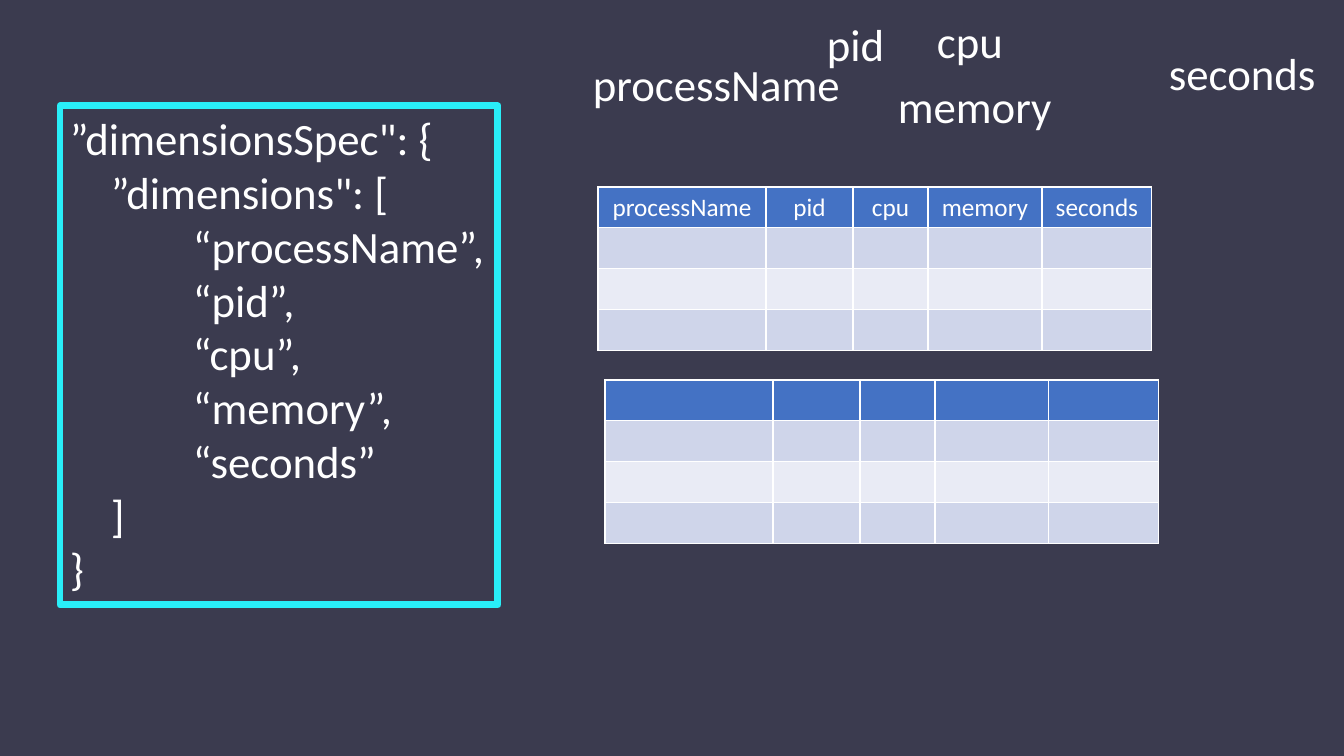
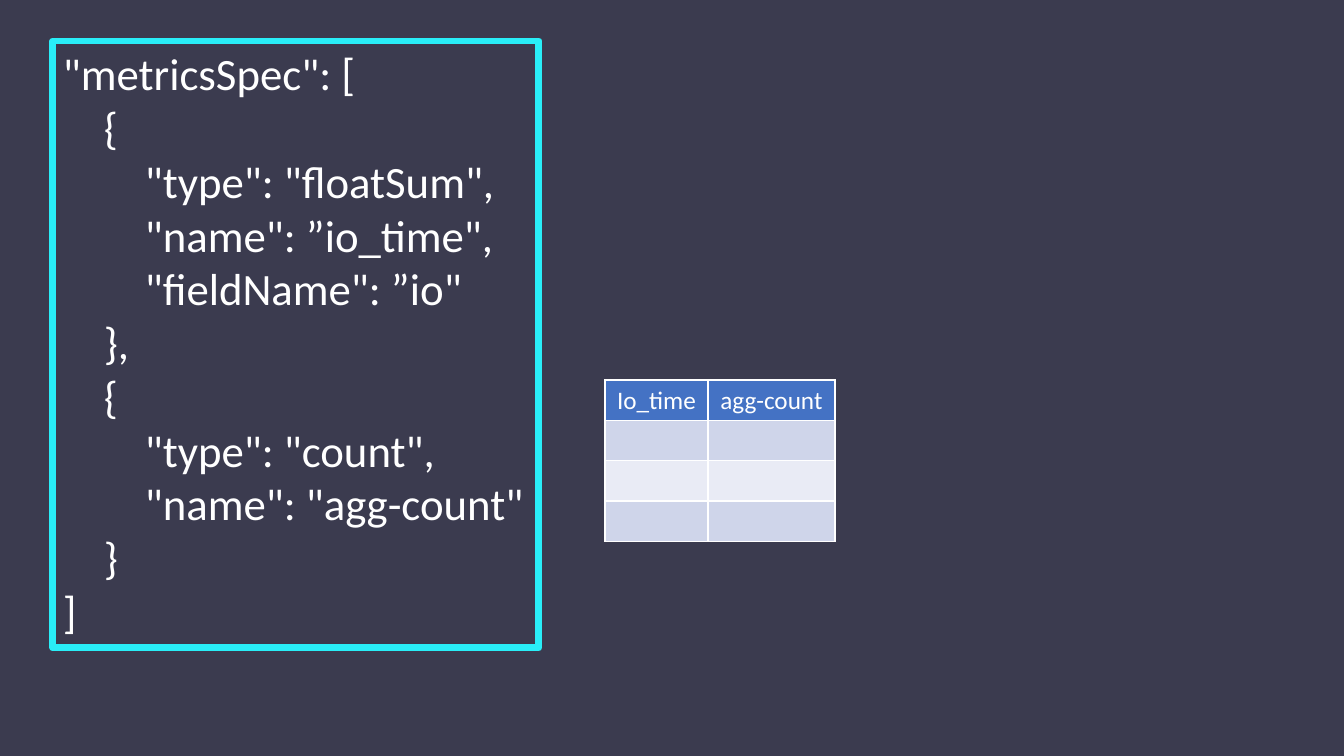
from lxml.etree import SubElement
from pptx import Presentation
from pptx.dml.color import RGBColor
from pptx.enum.shapes import MSO_SHAPE
from pptx.enum.text import MSO_ANCHOR, PP_ALIGN
from pptx.oxml import parse_xml
from pptx.oxml.ns import nsdecls, qn
from pptx.util import Emu, Pt

EMU_PER_PX = 914400 / 100.8
FONT = "Calibri"
NIGHT, CYAN, WHITE = "3B3B4F", "29EEF8", "FFFFFF"
HEADER, BANDS = "4472C4", ("CFD5EA", "E9EBF5")
INDENT = 41
ROW_HEIGHT = 40
BODY_ROWS = 3

FIELDS = ("processName", "pid", "cpu", "memory", "seconds")
FIELD_WIDTHS = (168, 87, 75, 114, 110)
FIELD_BOXES = (
    (583, 52, 269, 64),
    (817, 12, 79, 64),
    (927, 9, 87, 64),
    (888, 74, 175, 64),
    (1159, 41, 168, 64),
)

DIMENSIONS_CODE = (
    (0, "”dimensionsSpec\": {"),
    (1, "”dimensions\": ["),
    (3, "“processName”,"),
    (3, "“pid”,"),
    (3, "“cpu”,"),
    (3, "“memory”,"),
    (3, "“seconds”"),
    (1, "]"),
    (0, "}"),
)
METRICS_CODE = (
    (0, "\"metricsSpec\": ["),
    (1, "{"),
    (2, "\"type\": \"floatSum\","),
    (2, "\"name\": ”io_time\","),
    (2, "\"fieldName\": ”io\""),
    (1, "},"),
    (1, "{"),
    (2, "\"type\": \"count\","),
    (2, "\"name\": \"agg-count\""),
    (1, "}"),
    (0, "]"),
)


def px(length):
    """Turn a length in px into EMU."""
    return Emu(round(length * EMU_PER_PX))


def color(value):
    """Turn a hex string into a colour."""
    return RGBColor.from_string(value)


def write(para, text, size=32, ink=WHITE, align=PP_ALIGN.LEFT, level=0):
    """Write one formatted, indented run into a paragraph."""
    para.alignment = align
    if level:
        para._p.get_or_add_pPr().set("marL", str(px(level * INDENT)))
    span = para.add_run()
    span.text = text
    span.font.name = FONT
    span.font.size = Pt(size)
    span.font.bold = False
    span.font.color.rgb = color(ink)


def add_label(page, box, text):
    """Place a field name in a text box."""
    frame = page.shapes.add_textbox(*map(px, box)).text_frame
    frame.word_wrap = True
    write(frame.paragraphs[0], text)


def add_code(page, box, lines):
    """Place indented code in a cyan frame."""
    panel = page.shapes.add_shape(MSO_SHAPE.RECTANGLE, *map(px, box))
    panel.shadow.inherit = False
    panel.fill.background()
    panel.line.color.rgb = color(CYAN)
    panel.line.width = Pt(5)
    SubElement(panel.line._get_or_add_ln(), qn("a:round"))
    frame = panel.text_frame
    frame.word_wrap = True
    frame.vertical_anchor = MSO_ANCHOR.TOP
    for index, (level, text) in enumerate(lines):
        para = frame.add_paragraph() if index else frame.paragraphs[0]
        write(para, text, level=level)


def style_cell(cell, fill):
    """Fill a cell and give it thin white borders."""
    cell.fill.solid()
    cell.fill.fore_color.rgb = color(fill)
    properties = cell._tc.get_or_add_tcPr()
    for index, side in enumerate(("lnL", "lnR", "lnT", "lnB")):
        border = parse_xml(
            f'<a:{side} {nsdecls("a")} w="{Pt(1)}"><a:solidFill>'
            f'<a:srgbClr val="{WHITE}"/></a:solidFill></a:{side}>'
        )
        properties.insert(index, border)


def add_grid(page, left, top, widths, headings=()):
    """Place a banded table with optional headings."""
    rows = BODY_ROWS + 1
    box = (left, top, sum(widths), rows * ROW_HEIGHT)
    table = page.shapes.add_table(rows, len(widths), *map(px, box)).table
    for column, width in zip(table.columns, widths):
        column.width = px(width)
    for index, row in enumerate(table.rows):
        fill = BANDS[(index - 1) % 2] if index else HEADER
        for cell in row.cells:
            style_cell(cell, fill)
    for cell, text in zip(table.rows[0].cells, headings):
        write(cell.text_frame.paragraphs[0], text, size=18, align=PP_ALIGN.CENTER)


def add_dimensions_slide(deck):
    """Build the slide on dimensions."""
    page = deck.slides.add_slide(deck.slide_layouts[6])
    add_code(page, (60, 106, 438, 499), DIMENSIONS_CODE)
    add_grid(page, 598, 187, FIELD_WIDTHS, FIELDS)
    add_grid(page, 605, 380, FIELD_WIDTHS)
    for box, field in zip(FIELD_BOXES, FIELDS):
        add_label(page, box, field)


def add_metrics_slide(deck):
    """Build the slide on metrics."""
    page = deck.slides.add_slide(deck.slide_layouts[6])
    add_code(page, (53, 41, 486, 607), METRICS_CODE)
    add_grid(page, 605, 380, (103, 127), ("Io_time", "agg-count"))


def main():
    """Build and save the deck."""
    deck = Presentation()
    deck.slide_width, deck.slide_height = px(1344), px(756)
    backdrop = deck.slide_master.background.fill
    backdrop.solid()
    backdrop.fore_color.rgb = color(NIGHT)
    add_dimensions_slide(deck)
    add_metrics_slide(deck)
    deck.save("out.pptx")


if __name__ == "__main__":
    main()
